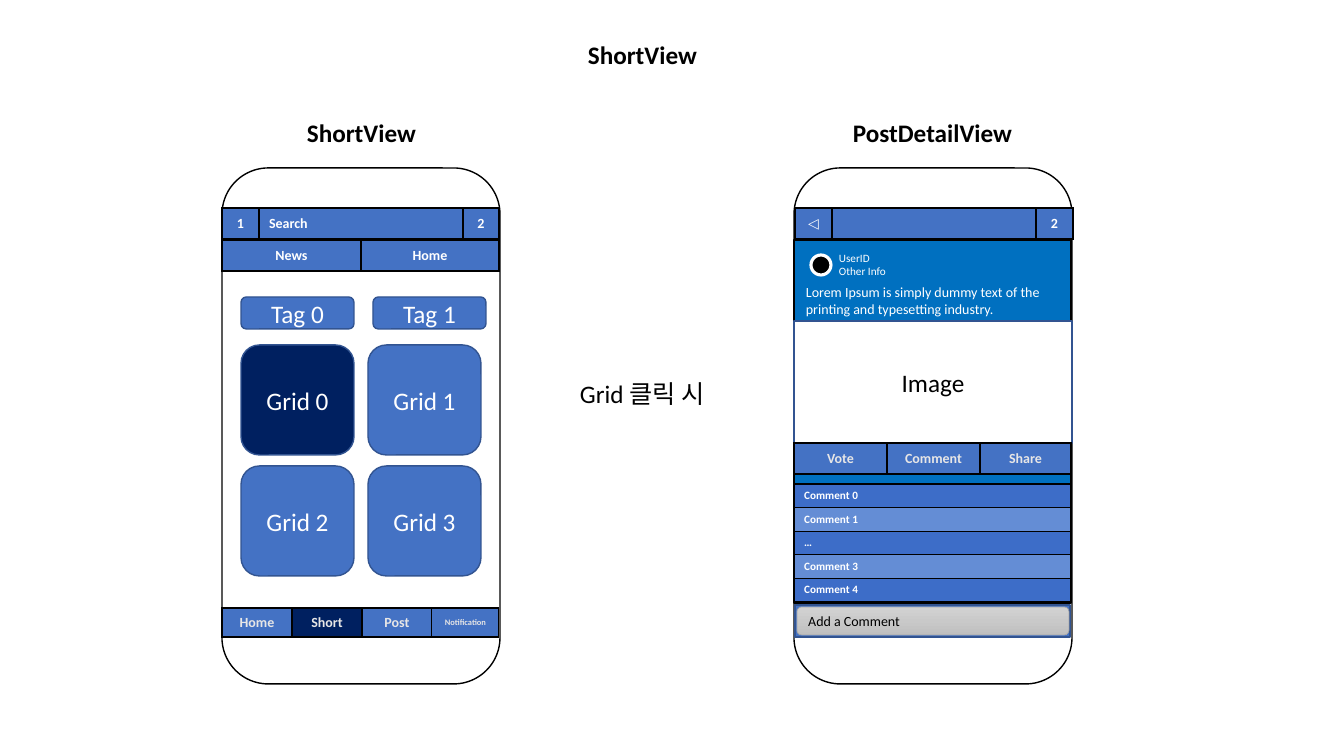
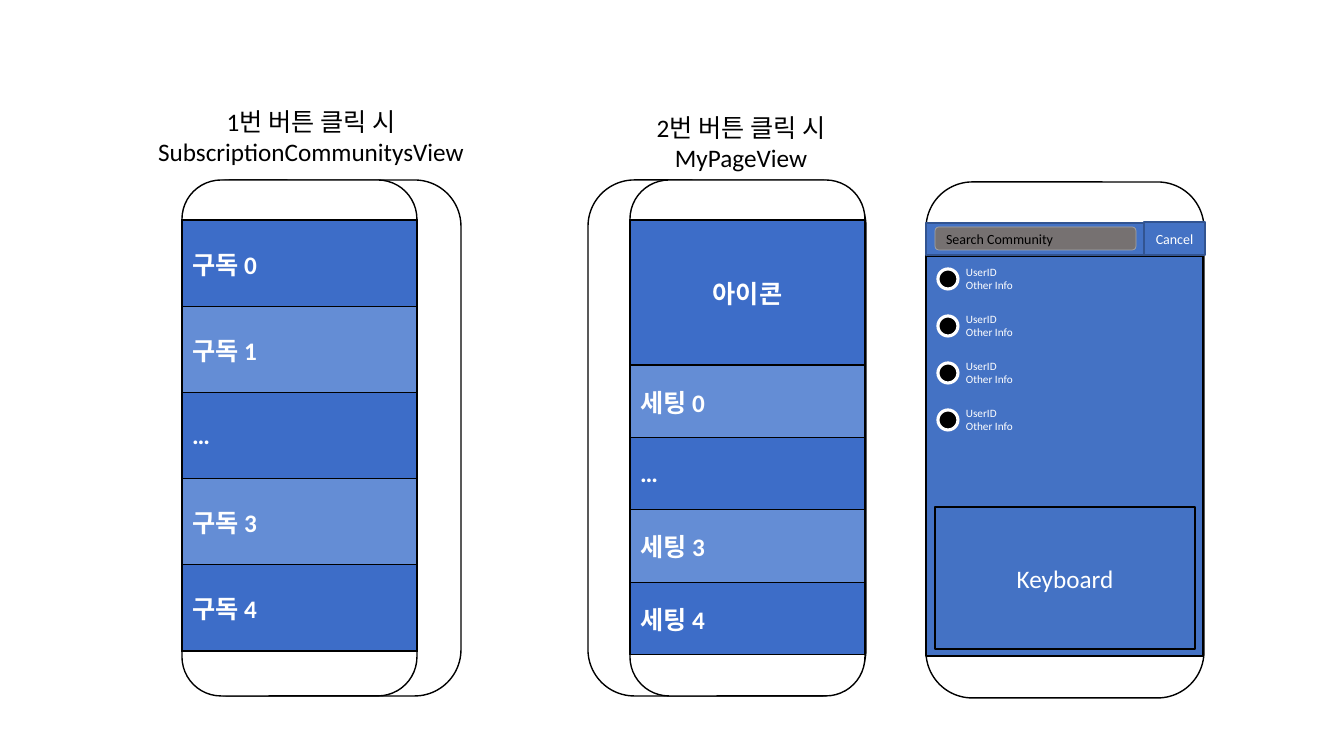
from collections import namedtuple
from lxml import etree
from pptx import Presentation
from pptx import util as u
from pptx.dml.color import RGBColor
from pptx.enum import shapes, text
from pptx.oxml.ns import qn

EMU_PER_PX = 914400 / 100.8
BLUE, NAVY, SKY, EDGE = "4472C4", "002060", "0070C0", "325491"
BAND_DARK, BAND_LIGHT = "3D6DC8", "648DD5"
WHITE, BLACK, PALE, GREY = "FFFFFF", "000000", "E7E6E6", "A5A5A5"
PHONE_W, PHONE_H, BAR_TOP = 278, 516, 40
LEFT, CENTER = text.PP_ALIGN.LEFT, text.PP_ALIGN.CENTER
RECT, ROUND, OVAL = (shapes.MSO_SHAPE.RECTANGLE, shapes.MSO_SHAPE.ROUNDED_RECTANGLE,
                     shapes.MSO_SHAPE.OVAL)

Cell = namedtuple("Cell", "words fill size color bold align font",
                  defaults=(BLUE, 10, WHITE, True, CENTER, "Calibri"))


def px(n):
    return u.Emu(round(n * EMU_PER_PX))


def rgb(value):
    return RGBColor.from_string(value)


def paint(target, value):
    target.solid()
    target.fore_color.rgb = rgb(value)


# Shared drawing helpers
def write(tf, words, size=18, color=BLACK, bold=False, align=LEFT, font="Calibri"):
    for i, line in enumerate(words.split("\n")):
        p = tf.paragraphs[0] if i == 0 else tf.add_paragraph()
        p.alignment = align
        p.font.size = u.Pt(size)
        if line:
            r = p.add_run()
            r.text = line
            r.font.size, r.font.bold, r.font.name = u.Pt(size), bold, font
            r.font.color.rgb = rgb(color)


def shape(s, kind, box, fill=BLUE, line=EDGE, width=1, words="", size=18,
          color=WHITE, align=CENTER):
    sp = s.shapes.add_shape(kind, *map(px, box))
    sp.shadow.inherit = False
    paint(sp.fill, fill)
    sp.line.color.rgb = rgb(line)
    sp.line.width = u.Pt(width)
    sp.text_frame.vertical_anchor = text.MSO_ANCHOR.MIDDLE
    if words:
        write(sp.text_frame, words, size, color, align=align)
    return sp


def label(s, box, words, wrap=False, **style):
    tf = s.shapes.add_textbox(*map(px, box)).text_frame
    tf.word_wrap = wrap
    tf.auto_size = text.MSO_AUTO_SIZE.SHAPE_TO_FIT_TEXT
    write(tf, words, **style)


def border(cell):
    tc_pr = cell._tc.get_or_add_tcPr()
    for side in ("a:lnL", "a:lnR", "a:lnT", "a:lnB"):
        ln = etree.SubElement(tc_pr, qn(side), w=str(u.Pt(1)))
        solid = etree.SubElement(ln, qn("a:solidFill"))
        etree.SubElement(solid, qn("a:srgbClr"), val=BLACK)


def table(s, x, y, widths, heights, rows):
    frame = s.shapes.add_table(len(heights), len(widths), px(x), px(y),
                               px(sum(widths)), px(sum(heights)))
    tbl = frame.table
    tbl.first_row = tbl.horz_banding = False
    for column, w in zip(tbl.columns, widths):
        column.width = px(w)
    for i, (h, row) in enumerate(zip(heights, rows)):
        tbl.rows[i].height = px(h)
        for j, item in enumerate(row):
            cell = tbl.cell(i, j)
            cell.margin_top = cell.margin_bottom = 0
            cell.vertical_anchor = text.MSO_ANCHOR.MIDDLE
            border(cell)
            paint(cell.fill, item.fill)
            write(cell.text_frame, item.words, item.size, item.color,
                  item.bold, item.align, item.font)


def banded_list(s, x, y, width, heights, names, size, first_align=LEFT):
    rows = [[Cell(name, BAND_LIGHT if i % 2 else BAND_DARK, size,
                  align=LEFT if i else first_align)]
            for i, name in enumerate(names)]
    table(s, x, y, [width], heights, rows)


def phone(s, x, y, width=PHONE_W):
    shape(s, ROUND, (x, y, width, PHONE_H), WHITE, BLACK)


def user(s, x, y):
    shape(s, OVAL, (x, y, 20, 20), BLACK, WHITE, 2.25)
    label(s, (x + 18, y - 9, 67, 37), "UserID\nOther Info", size=8, color=WHITE)


# Phone with tags and a grid
def short_view(s, x, y):
    phone(s, x, y)
    nav = [Cell("Home", color=PALE), Cell("Short", NAVY, color=PALE),
           Cell("Post", color=PALE), Cell("Notification", size=6, color=PALE)]
    table(s, x, y + 440, [70, 70, 70, 67], [29], [nav])
    table(s, x, y + BAR_TOP, [37, 204, 36], [31],
          [[Cell("1"), Cell("Search", align=LEFT), Cell("2")]])
    table(s, x, y + 72, [139, 138], [31], [[Cell("News"), Cell("Home")]])
    for i in range(4):
        row, col = divmod(i, 2)
        shape(s, ROUND, (x + 19 + 127 * col, y + 177 + 121 * row, 113, 110),
              BLUE if i else NAVY, words=f"Grid {i}")
    for i in range(2):
        shape(s, ROUND, (x + 19 + 132 * i, y + 129, 113, 32), words=f"Tag {i}")


# Phone with one post and its comments
def post_detail(s, x, y):
    phone(s, x, y)
    table(s, x + 1, y + BAR_TOP, [37, 204, 37], [31],
          [[Cell("◁", bold=False, font="Roboto"), Cell(""), Cell("2")]])
    shape(s, RECT, (x, y + 72, 277, 363), SKY, BLACK)
    user(s, x + 17, y + 87)
    label(s, (x + 2, y + 111, 276, 44),
          "Lorem Ipsum is simply dummy text of the printing and typesetting industry.",
          wrap=True, size=10, color=WHITE)
    shape(s, RECT, (x, y + 153, PHONE_W, 122), WHITE, words="Image", color=BLACK)
    table(s, x, y + 275, [93, 93, 91], [31],
          [[Cell(name, color=PALE) for name in ("Vote", "Comment", "Share")]])
    banded_list(s, x, y + 316, 277, [23.6] * 5,
                ["Comment 0", "Comment 1", "…", "Comment 3", "Comment 4"], 8)
    shape(s, RECT, (x + 1, y + 437, 275, 32))
    field = shape(s, ROUND, (x + 3, y + 439, 272, 28), line=GREY, width=0.5,
                  words="Add a Comment", size=10, color=BLACK, align=LEFT)
    field.fill.gradient()
    field.fill.gradient_angle = 270
    for stop, value in zip(field.fill.gradient_stops, ("D2D2D2", "C0C0C0")):
        stop.color.rgb = rgb(value)


# Drawer that lies over a phone
def drawer(s, x, y, heights, names, first_align=LEFT):
    phone(s, x, y, 235)
    banded_list(s, x, y + BAR_TOP, 235, heights, names, 18, first_align)


# Phone with the community search
def search_view(s, x, y):
    phone(s, x, y)
    shape(s, RECT, (x, y + 74, 277, 400), line=BLACK)
    shape(s, RECT, (x, y + 41, 218, 32))
    shape(s, ROUND, (x + 9, y + 45, 201, 23), "767171", GREY, 0.5,
          "Search Community", 10, BLACK, LEFT)
    for i in range(4):
        user(s, x + 12, y + 87 + 47 * i)
    cancel = shape(s, RECT, (x + 218, y + 40, 61, 33), words="Cancel", size=10)
    cancel.text_frame.word_wrap = False
    shape(s, RECT, (x + 9, y + 325, 260, 142), line=BLACK, words="Keyboard")


# Slides
def short_slide(s):
    for x, y, words, w in ((578, 34, "ShortView", 130), (297, 112, "ShortView", 130),
                           (843, 112, "PostDetailView", 180)):
        label(s, (x, y, w, 40), words, bold=True)
    short_view(s, 222, 168)
    post_detail(s, 794, 168)
    label(s, (570, 373, 158, 40), "Grid 클릭 시")


def menu_slide(s):
    phone(s, 183, 180)
    phone(s, 588, 180)
    drawer(s, 182, 180, [86.2] * 5, ["구독 0", "구독 1", "…", "구독 3", "구독 4"])
    drawer(s, 630, 180, [145] + [72.4] * 4,
           ["아이콘", "세팅 0", "…", "세팅 3", "세팅 4"], CENTER)
    label(s, (146, 101, 330, 72), "1번 버튼 클릭 시\nSubscriptionCommunitysView",
          align=CENTER)
    label(s, (639, 107, 204, 72), "2번 버튼 클릭 시\nMyPageView", align=CENTER)
    search_view(s, 926, 182)


prs = Presentation()
prs.slide_width, prs.slide_height = px(1344), px(756)
for build in (short_slide, menu_slide):
    build(prs.slides.add_slide(prs.slide_layouts[6]))
prs.save("out.pptx")
